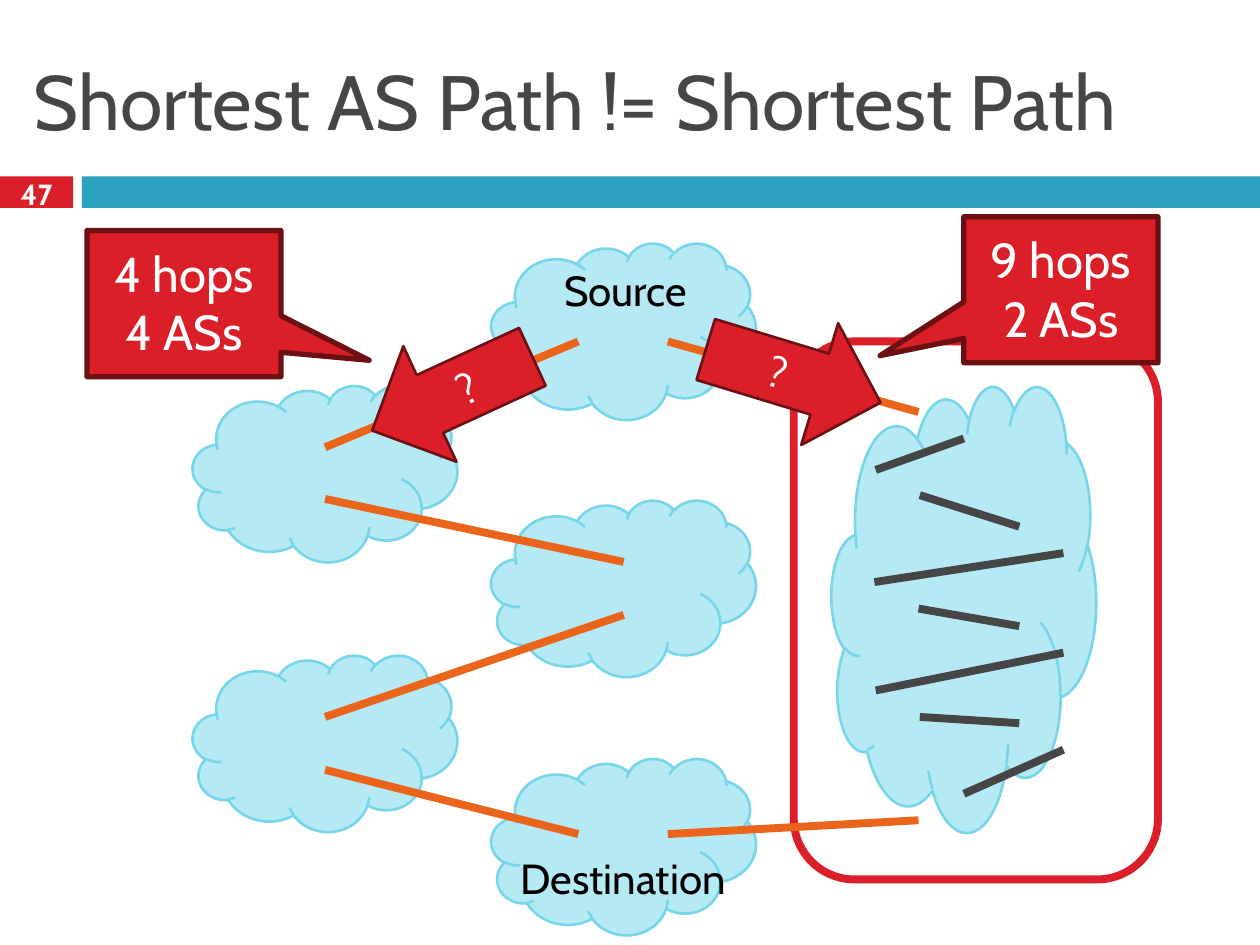
from dataclasses import dataclass

from pptx import Presentation
from pptx.dml.color import RGBColor
from pptx.enum.shapes import MSO_CONNECTOR, MSO_SHAPE
from pptx.enum.text import MSO_ANCHOR, PP_ALIGN
from pptx.oxml.ns import qn
from pptx.util import Pt
from lxml import etree

PX = 9144  # EMU per px, 100 px to the inch
RECT = MSO_SHAPE.RECTANGLE
ROUND = MSO_SHAPE.ROUNDED_RECTANGLE
CLOUD = MSO_SHAPE.CLOUD
RIGHT = MSO_SHAPE.RIGHT_ARROW
LEFT = MSO_SHAPE.LEFT_ARROW
CALL = MSO_SHAPE.RECTANGULAR_CALLOUT
STRAIGHT = MSO_CONNECTOR.STRAIGHT
MID, TOP = MSO_ANCHOR.MIDDLE, MSO_ANCHOR.TOP
CENTER, START = PP_ALIGN.CENTER, PP_ALIGN.LEFT


@dataclass(frozen=True)
class Theme:
    font: str = "Cabin"
    red: str = "DA1F28"
    dark: str = "6D1014"
    teal: str = "2DA2BF"
    sky: str = "B5E9F4"
    edge: str = "78D6EA"
    orange: str = "EB641B"
    gray: str = "464646"
    white: str = "FFFFFF"
    black: str = "000000"
    title: float = 44
    note: float = 28
    label: float = 24
    number: float = 16.6
    thin: float = 1.5
    rim: float = 3
    thick: float = 4.5


class Board:
    def __init__(self, theme, slide):
        self.theme = theme
        self.slide = slide

    def shape(self, kind, box, fill=None, line=None, width=0):
        item = self.slide.shapes.add_shape(kind, *(n * PX for n in box))
        item.shadow.inherit = False
        if fill:
            item.fill.solid()
            item.fill.fore_color.rgb = RGBColor.from_string(fill)
        else:
            item.fill.background()
        if line:
            item.line.color.rgb = RGBColor.from_string(line)
            item.line.width = Pt(width)
        else:
            item.line.fill.background()
        return item

    def letter(self, item, lines, size, color, align=CENTER, anchor=MID, bold=False, wrap=True):
        """Put lines of text into a shape or text box."""
        frame = item.text_frame
        frame.word_wrap = wrap
        frame.vertical_anchor = anchor
        for i, line in enumerate(lines):
            para = frame.add_paragraph() if i else frame.paragraphs[0]
            para.alignment = align
            run = para.add_run()
            run.text = line
            run.font.name = self.theme.font
            run.font.size = Pt(size)
            run.font.bold = bold
            run.font.color.rgb = RGBColor.from_string(color)

    def text(self, box, lines, size, color, **style):
        item = self.slide.shapes.add_textbox(*(n * PX for n in box))
        self.letter(item, lines, size, color, **style)

    def cloud(self, box):
        self.shape(CLOUD, box, self.theme.sky, self.theme.edge, self.theme.thin)

    def link(self, ends, color):
        item = self.slide.shapes.add_connector(STRAIGHT, *(n * PX for n in ends))
        item.line.color.rgb = RGBColor.from_string(color)
        item.line.width = Pt(self.theme.thick)
        etree.SubElement(item.element.spPr, qn("a:effectLst"))

    def arrow(self, kind, box, turn):
        t = self.theme
        item = self.shape(kind, box, t.red, t.dark, t.thin)
        item.rotation = turn
        self.letter(item, ["?"], t.label, t.white)

    def callout(self, left, top, tip, lines):
        """Place a note whose tip is given as shares of its size from its centre."""
        t = self.theme
        item = self.shape(CALL, (left, top, 154, 116), t.red, t.dark, t.rim)
        item.adjustments[0], item.adjustments[1] = tip
        self.text((left, top + 5, 154, 104), lines, t.note, t.white, anchor=TOP)


def main():
    deck = Presentation()
    deck.slide_width, deck.slide_height = 1000 * PX, 750 * PX
    t = Theme()
    board = Board(t, deck.slides.add_slide(deck.slide_layouts[6]))

    board.shape(RECT, (0, 140, 58, 25), t.red)
    board.shape(RECT, (65, 140, 935, 25), t.teal)
    board.shape(ROUND, (630, 271, 289, 427), line=t.red, width=t.thick)
    board.text((17, 25, 967, 108), ["Shortest AS Path != Shortest Path"],
               t.title, t.gray, align=START)
    board.text((0, 137, 58, 33), ["47"], t.number, t.white, bold=True)

    for left, top in ((390, 193), (153, 306), (390, 397), (153, 520), (390, 602)):
        board.cloud((left, top, 210, 140))
    board.cloud((660, 306, 210, 354))

    paths = (
        (258, 355, 459, 271), (258, 396, 495, 446), (258, 569, 495, 488),
        (459, 662, 258, 611), (729, 327, 530, 271), (530, 662, 729, 651),
    )
    hops = (
        (695, 373, 765, 348), (730, 393, 809, 418), (694, 462, 844, 439),
        (809, 497, 729, 483), (844, 518, 695, 548), (809, 574, 730, 569),
        (844, 595, 765, 630),
    )
    for color, group in ((t.orange, paths), (t.gray, hops)):
        for ends in group:
            board.link(ends, color)

    for box, name in (((433, 205, 127, 50), "Source"), ((400, 672, 189, 50), "Destination")):
        board.text(box, [name], t.label, t.black, anchor=TOP, wrap=False)

    board.arrow(RIGHT, (557, 248, 145, 101), 16.9)
    board.arrow(LEFT, (289, 262, 140, 101), 335.3)
    board.callout(69, 183, (0.955, 0.388), ["4 hops", "4 ASs"])
    board.callout(765, 172, (-0.932, 0.451), ["9 hops", "2 ASs"])
    deck.save("out.pptx")


if __name__ == "__main__":
    main()
